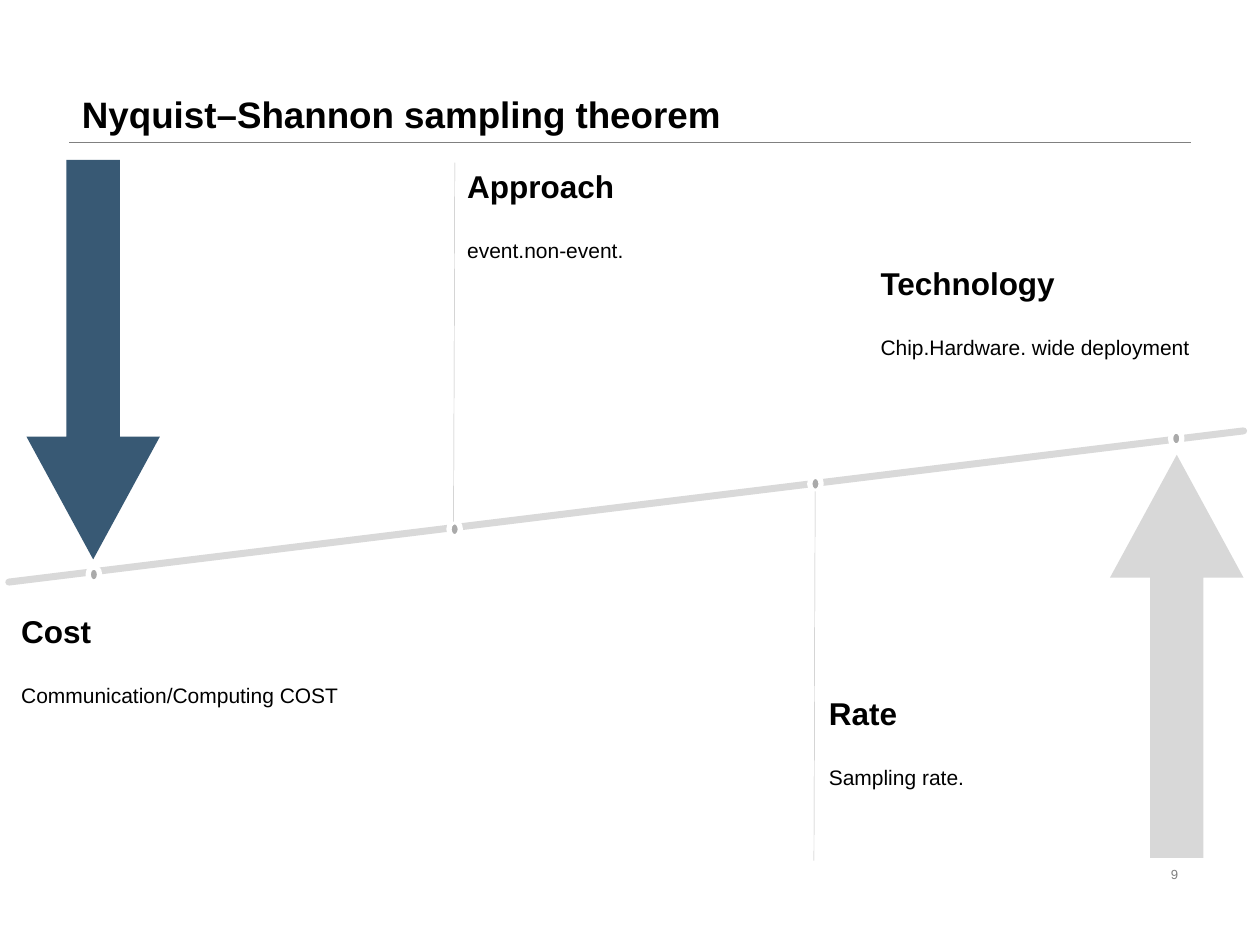
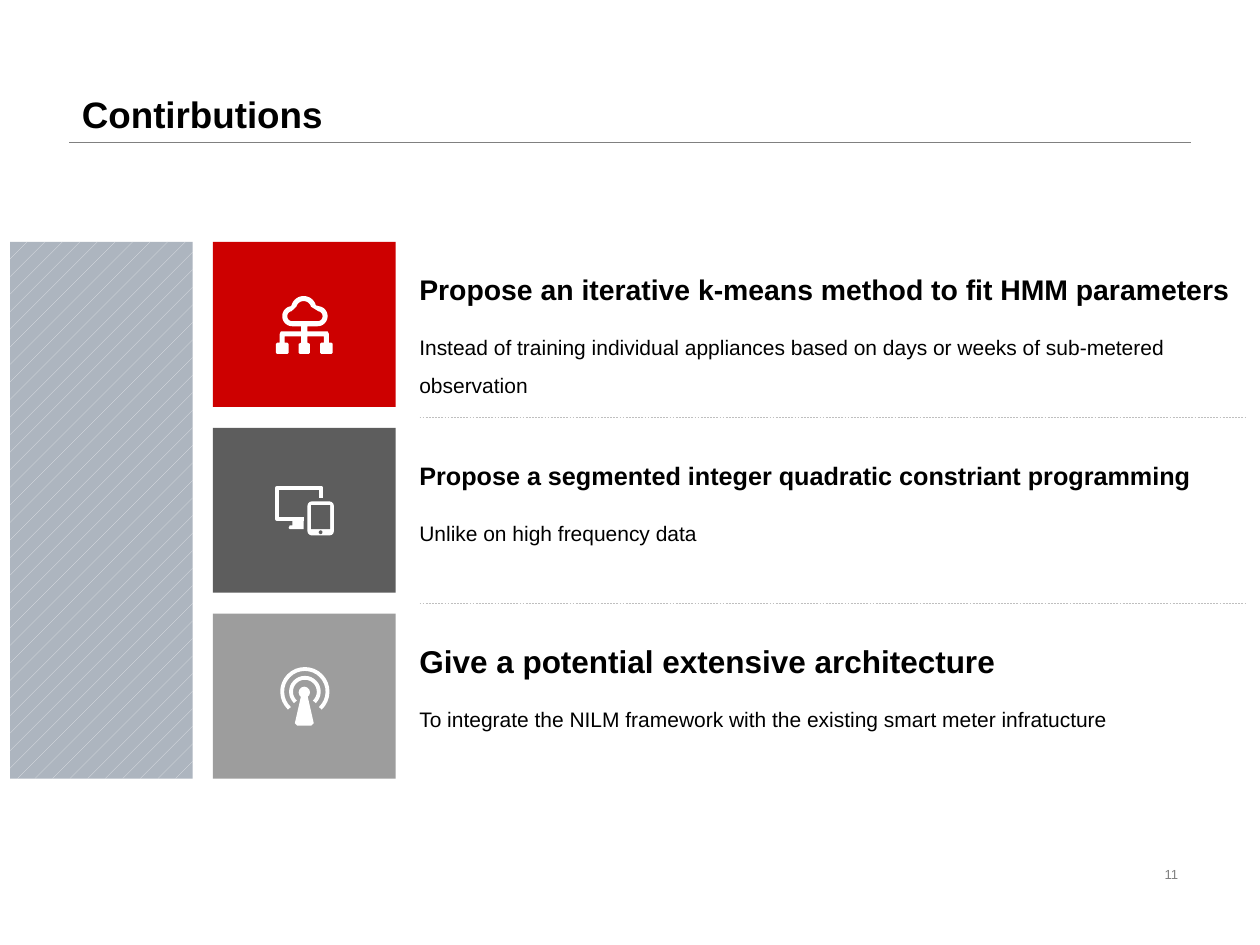
from dataclasses import dataclass
from math import cos, radians, sin

from lxml import etree
from pptx import Presentation
from pptx import util as u
from pptx.dml.color import RGBColor
from pptx.enum import dml, shapes, text
from pptx.oxml.ns import qn

FONT = "Arial"
HEX = {
    "ink": "000000", "white": "FFFFFF", "mute": "808080", "rule": "BFBFBF",
    "track": "D9D9D9", "dot": "AAAAAA", "blue": "385974", "pale": "D8D8D8",
    "red": "CD0000", "dark": "5D5D5D", "gray": "9D9D9D",
    "stripe": "E4E6EA", "panel": "ADB5BF",
}
Kind = shapes.MSO_SHAPE
Anchor = text.MSO_ANCHOR
Point = tuple[float, float]


@dataclass
class Note:
    head: str
    body: str
    left: float
    top: float
    width: float
    size: float = 18


@dataclass
class Topic:
    head: str
    body: str
    size: float
    tile: str


NOTES = [
    Note("Cost", "Communication/Computing COST", 0.07, 4.81, 2.96),
    Note("Approach", "event.non-event.", 3.61, 1.28, 1.84),
    Note("Rate", "Sampling rate.", 6.48, 5.46, 1.84),
    Note("Technology", "Chip.Hardware. wide deployment", 6.89, 2.05, 2.96),
]
TOPICS = [
    Topic("Propose an iterative k-means method to fit HMM parameters",
          "Instead of training individual appliances based on days or weeks "
          "of sub-metered observation", 16.2, "red"),
    Topic("Propose a segmented integer quadratic constriant programming",
          "Unlike on high frequency data", 14.4, "dark"),
    Topic("Give a potential extensive architecture",
          "To integrate the NILM framework with the existing smart meter "
          "infratucture", 18, "gray"),
]
ROW_TOP, ROW_STEP, ROW_TALL = 1.92, 2.95 / 2, 1.31
RULE_TOP = 1.13


def rgb(name: str) -> RGBColor:
    return RGBColor.from_string(HEX[name])


def place(shape, left: float, top: float, width: float, height: float) -> None:
    shape.left, shape.top = u.Inches(left), u.Inches(top)
    shape.width, shape.height = u.Inches(width), u.Inches(height)


def write(shape, words: str, *, size: float, color: str = "ink",
          bold: bool = False, gap: float = 1, anchor=Anchor.TOP,
          align=text.PP_ALIGN.LEFT) -> None:
    frame = shape.text_frame
    frame.word_wrap = True
    frame.auto_size = text.MSO_AUTO_SIZE.NONE
    frame.vertical_anchor = anchor
    frame.text = words
    para = frame.paragraphs[0]
    para.alignment, para.line_spacing = align, gap
    para.space_before = u.Pt(0)
    font = para.font
    font.name, font.size, font.bold = FONT, u.Pt(size), bold
    font.color.rgb = rgb(color)


def label(slide, words: str, left: float, top: float, width: float,
          height: float, **style) -> None:
    box = slide.shapes.add_textbox(0, 0, 0, 0)
    place(box, left, top, width, height)
    write(box, words, **style)


def pair(slide, note: Note, step: float, tall: float, anchor) -> None:
    """Draw a bold heading with its text below it."""
    label(slide, note.head, note.left, note.top, note.width, step,
          size=note.size, bold=True, anchor=anchor)
    label(slide, note.body, note.left, note.top + step, note.width, tall,
          size=12, gap=1.5)


def rule(slide, start: Point, end: Point, color: str = "rule",
         width: float = 0.25, dash: bool = False, cap: str = "flat") -> None:
    ends = [u.Inches(n) for n in (*start, *end)]
    line = slide.shapes.add_connector(shapes.MSO_CONNECTOR.STRAIGHT, *ends)
    line.line.color.rgb = rgb(color)
    line.line.width = u.Pt(width)
    if dash:
        line.line.dash_style = dml.MSO_LINE.DASH
    props = line._element.spPr
    props.find(qn("a:ln")).set("cap", cap)
    etree.SubElement(props, qn("a:effectLst"))


def paint(shape, fill: str | None, edge: str | None, width: float) -> None:
    shape.shadow.inherit = False
    if fill:
        shape.fill.solid()
        shape.fill.fore_color.rgb = rgb(fill)
    else:
        shape.fill.background()
    if edge:
        shape.line.color.rgb = rgb(edge)
        shape.line.width = u.Pt(width)
    else:
        shape.line.fill.background()


def block(slide, kind, left: float, top: float, width: float, height: float,
          fill: str, edge: str | None = None, weight: float = 0, adj=()):
    shape = slide.shapes.add_shape(kind, 0, 0, 0, 0)
    place(shape, left, top, width, height)
    paint(shape, fill, edge, weight)
    for index, value in enumerate(adj):
        shape.adjustments[index] = value
    return shape


def trace(slide, *loops: list[Point], weight: float = 0) -> None:
    """Draw white open strokes, or without weight a form with its holes."""
    pen = None
    for loop in loops:
        first, *rest = [(u.Inches(x), u.Inches(y)) for x, y in loop]
        if pen is None:
            pen = slide.shapes.build_freeform(*first)
        else:
            pen.move_to(*first)
        pen.add_line_segments(rest, close=not weight)
    shape = pen.convert_to_shape()
    if weight:
        paint(shape, None, "white", weight)
        etree.SubElement(shape._element.spPr.find(qn("a:ln")), qn("a:round"))
    else:
        paint(shape, "white", None, 0)


def arc(x: float, y: float, radius: float, start: int, end: int) -> list[Point]:
    """Give points on an arc; angles run clockwise from the right."""
    turns = [radians(start + (end - start) * i / 24) for i in range(25)]
    return [(x + radius * cos(t), y + radius * sin(t)) for t in turns]


def puff(grow: float) -> list[Point]:
    """Give the cloud's edge, moved outward by grow."""
    return (arc(2.32, 2.51, 0.06 + grow, 90, 260)
            + arc(2.41, 2.45, 0.08 + grow, 195, 345)
            + arc(2.52, 2.51, 0.06 + grow, -80, 90))


def cloud(slide) -> None:
    half = [(2.44, 2.59), (2.44, 2.63), (2.6, 2.63), (2.61, 2.65),
            (2.61, 2.72), (2.63, 2.72), (2.64, 2.73), (2.64, 2.8),
            (2.63, 2.81), (2.55, 2.81), (2.54, 2.8), (2.54, 2.73),
            (2.55, 2.72), (2.57, 2.72), (2.57, 2.67), (2.44, 2.67),
            (2.44, 2.72), (2.46, 2.73), (2.46, 2.8), (2.45, 2.81)]
    other = [(4.83 - x, y) for x, y in reversed(half)]
    trace(slide, half + other + puff(0.02), puff(-0.02))


def screens(slide) -> None:
    trace(slide, [(2.55, 3.95), (2.55, 3.87), (2.2, 3.87), (2.2, 4.12),
                  (2.41, 4.12)], weight=2.2)
    trace(slide, [(2.32, 4.12), (2.41, 4.12), (2.41, 4.2), (2.3, 4.2),
                  (2.29, 4.19), (2.3, 4.17), (2.32, 4.17)])
    block(slide, Kind.ROUNDED_RECTANGLE, 2.44, 3.98, 0.21, 0.27, "white")
    block(slide, Kind.RECTANGLE, 2.47, 4.01, 0.15, 0.19, "dark")
    block(slide, Kind.OVAL, 2.53, 4.21, 0.03, 0.03, "dark")


def mast(slide) -> None:
    for radius in (0.11, 0.18):
        trace(slide, arc(2.42, 5.49, radius, 133, 407), weight=2.2)
    block(slide, Kind.OVAL, 2.37, 5.45, 0.09, 0.09, "white")
    trace(slide, [(2.39, 5.52), (2.44, 5.52), (2.49, 5.74), (2.47, 5.76),
                  (2.36, 5.76), (2.34, 5.74)])


def start(deck, title: str, number: int):
    """Add a slide with its title, rule and number."""
    slide = deck.slides.add_slide(deck.slide_layouts[5])
    rule(slide, (0.55, RULE_TOP), (9.45, RULE_TOP), "mute")
    place(slide.shapes.title, 0.55, 0, 8.9, RULE_TOP)
    write(slide.shapes.title, title, size=21, bold=True, gap=0.9,
          anchor=Anchor.BOTTOM)
    label(slide, str(number), 7.06, 6.82, 2.39, 0.23, size=7.5, color="mute",
          anchor=Anchor.MIDDLE, align=text.PP_ALIGN.RIGHT)
    return slide


def theorem(deck) -> None:
    slide = start(deck, "Nyquist–Shannon sampling theorem", 9)
    rule(slide, (0.07, 4.62), (9.87, 3.42), "track", 4, cap="rnd")
    head = (0.4, 0.92)
    block(slide, Kind.DOWN_ARROW, 0.21, 1.27, 1.06, 3.17, "blue", adj=head)
    block(slide, Kind.UP_ARROW, 8.81, 3.61, 1.06, 3.2, "pale", adj=head)
    for i in range(4):
        block(slide, Kind.OVAL, 0.7 + 8.59 / 3 * i, 4.5 - 0.36 * i, 0.09, 0.12,
              "dot", "white", 3)
    for note in NOTES:
        pair(slide, note, 0.46, 0.9, Anchor.TOP)
    rule(slide, (6.47, 3.9), (6.46, 6.83))
    rule(slide, (3.6, 4.14), (3.61, 1.29))


def gains(deck) -> None:
    slide = start(deck, "Contirbutions", 11)
    panel = block(slide, Kind.RECTANGLE, 0.08, ROW_TOP, 1.45,
                  2 * ROW_STEP + ROW_TALL, "panel")
    panel.fill.patterned()
    panel.fill.pattern = dml.MSO_PATTERN.PERCENT_5
    panel.fill.fore_color.rgb = rgb("stripe")
    panel.fill.back_color.rgb = rgb("panel")
    for i, (topic, icon) in enumerate(zip(TOPICS, (cloud, screens, mast))):
        top = ROW_TOP + ROW_STEP * i
        block(slide, Kind.RECTANGLE, 1.69, top, 1.45, ROW_TALL, topic.tile)
        icon(slide)
        pair(slide, Note(topic.head, topic.body, 3.23, top + 0.16, 6.67,
                         topic.size), 0.43, 0.57, Anchor.MIDDLE)
        if i:
            rule(slide, (3.33, top - 0.08), (9.89, top - 0.08), dash=True)


def main() -> None:
    deck = Presentation()
    deck.slide_width, deck.slide_height = u.Inches(10), u.Inches(7.5)
    theorem(deck)
    gains(deck)
    deck.save("out.pptx")


if __name__ == "__main__":
    main()
